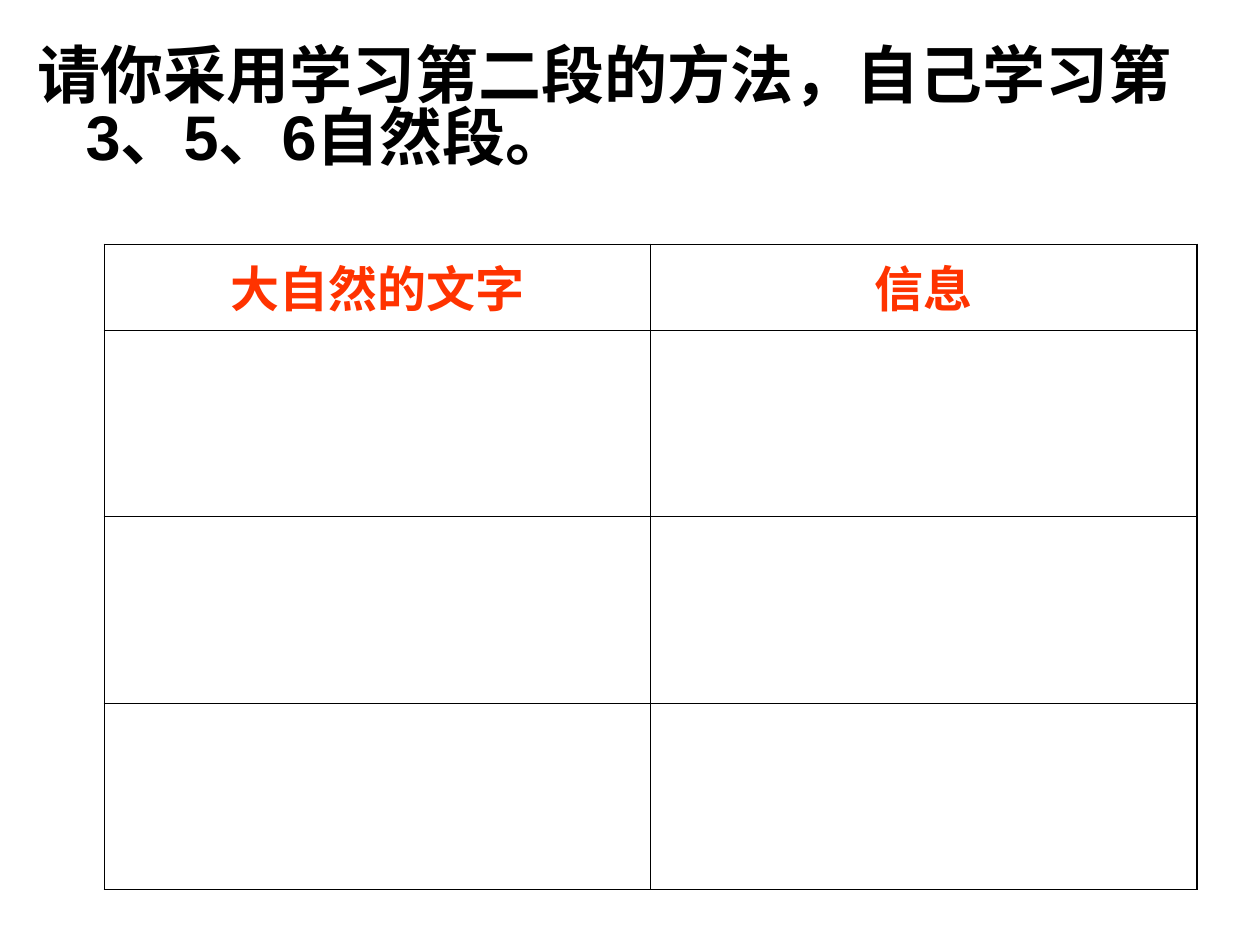
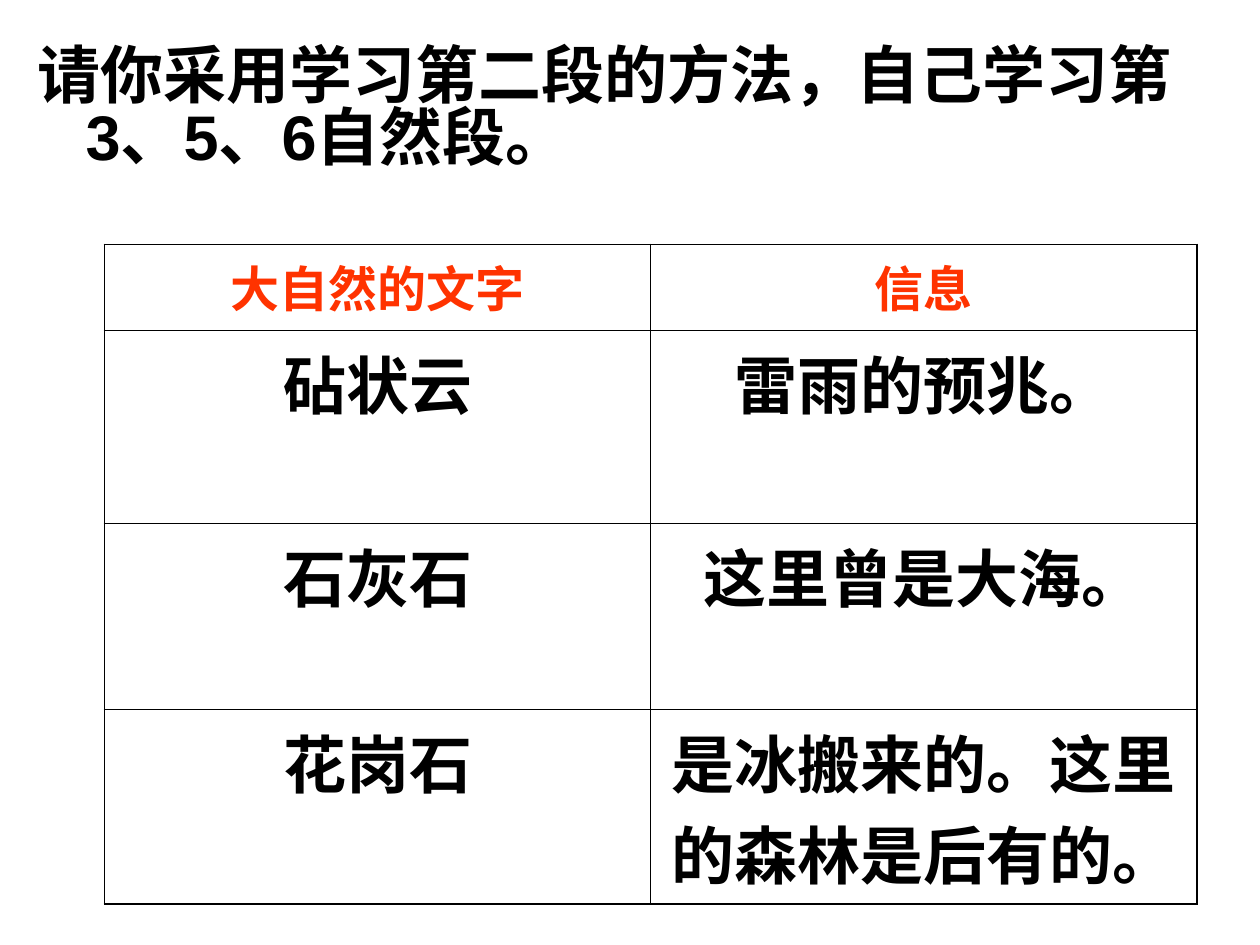
import pptx
import pptx.dml.color
import pptx.enum.text
import pptx.oxml
import pptx.oxml.ns
import pptx.util
from pptx.util import Inches

COLORS = {"ink": "000000", "heading": "FF3300"}
FONT = "Arial"
HEADING = "请你采用学习第二段的方法，自己学习第3、5、6自然段。"
COLUMNS = ["大自然的文字", "信息"]
CLUES = [
    ["砧状云", "雷雨的预兆。"],
    ["石灰石", "这里曾是大海。"],
    ["花岗石", "是冰搬来的。这里的森林是后有的。"],
]
BLANKS = [["", ""] for _ in CLUES]
HEADING_BOX = (0.2, 0.28, 9.37, 2.13)
TABLE_BOX = (0.83, 1.94, 8.67)
HEADER_HEIGHT = 0.68
OUTER, INNER = 1.08, 0.45
ALIGN = pptx.enum.text.PP_ALIGN


def write(tf, text, size=36, color="ink", align=ALIGN.CENTER, spacing=None):
    """Write one bold paragraph into a text frame and return it."""
    p = tf.paragraphs[0]
    p.alignment = align
    p.space_before = pptx.util.Pt(0)
    if spacing:
        p.line_spacing = spacing
    r = p.add_run()
    r.text = text
    r.font.name = FONT
    r.font.size = pptx.util.Pt(size)
    r.font.bold = True
    r.font.color.rgb = pptx.dml.color.RGBColor.from_string(COLORS[color])
    return p


def add_heading(s, box, text):
    """Place the title with a hanging indent in the given box."""
    sp = s.shapes.title
    sp.left, sp.top, sp.width, sp.height = map(Inches, box)
    tf = sp.text_frame
    tf.word_wrap = True
    tf.auto_size = pptx.enum.text.MSO_AUTO_SIZE.NONE
    tf.vertical_anchor = pptx.enum.text.MSO_ANCHOR.TOP
    tf.margin_top = Inches(0.11)
    p = write(tf, text, align=ALIGN.LEFT, spacing=0.82)
    pPr = p._p.get_or_add_pPr()
    pPr.set("marL", str(Inches(0.38)))
    pPr.set("indent", str(Inches(-0.38)))


def set_borders(cell, widths):
    """Draw the left, right, top and bottom cell borders at given widths."""
    tcPr = cell._tc.get_or_add_tcPr()
    for i, (side, width) in enumerate(zip("LRTB", widths)):
        ln = pptx.oxml.parse_xml(
            f'<a:ln{side} {pptx.oxml.ns.nsdecls("a")} w="{pptx.util.Pt(width)}">'
            f'<a:solidFill><a:srgbClr val="{COLORS["ink"]}"/></a:solidFill>'
            f'</a:ln{side}>')
        tcPr.insert(i, ln)


def add_clue_table(s, box, rows, row_heights):
    """Add the two-column table with a heavier outline than inner rules."""
    left, top, width = box
    heights = [HEADER_HEIGHT, *row_heights]
    cells = [COLUMNS, *rows]
    last_row, last_col = len(cells) - 1, len(COLUMNS) - 1
    table = s.shapes.add_table(
        len(cells), len(COLUMNS), Inches(left), Inches(top),
        Inches(width), Inches(sum(heights))).table
    table.first_row = table.horz_banding = False
    for col in table.columns:
        col.width = Inches(width / len(COLUMNS))
    for i, (texts, height) in enumerate(zip(cells, heights)):
        table.rows[i].height = Inches(height)
        style = {"size": 28, "color": "heading"} if i == 0 else {}
        for j, text in enumerate(texts):
            cell = table.cell(i, j)
            cell.fill.background()
            edges = (j == 0, j == last_col, i == 0, i == last_row)
            set_borders(cell, [OUTER if edge else INNER for edge in edges])
            if text:
                write(cell.text_frame, text, **style)


def add_study_slide(prs, rows, row_heights):
    """Add one study slide with its heading and table."""
    s = prs.slides.add_slide(prs.slide_layouts[5])
    add_heading(s, HEADING_BOX, HEADING)
    add_clue_table(s, TABLE_BOX, rows, row_heights)


def main():
    """Build and save the presentation."""
    prs = pptx.Presentation()
    prs.slide_width, prs.slide_height = Inches(10), Inches(7.5)
    add_study_slide(prs, BLANKS, [1.48, 1.48, 1.48])
    add_study_slide(prs, CLUES, [1.53, 1.48, 1.48])
    prs.save("out.pptx")


if __name__ == "__main__":
    main()
